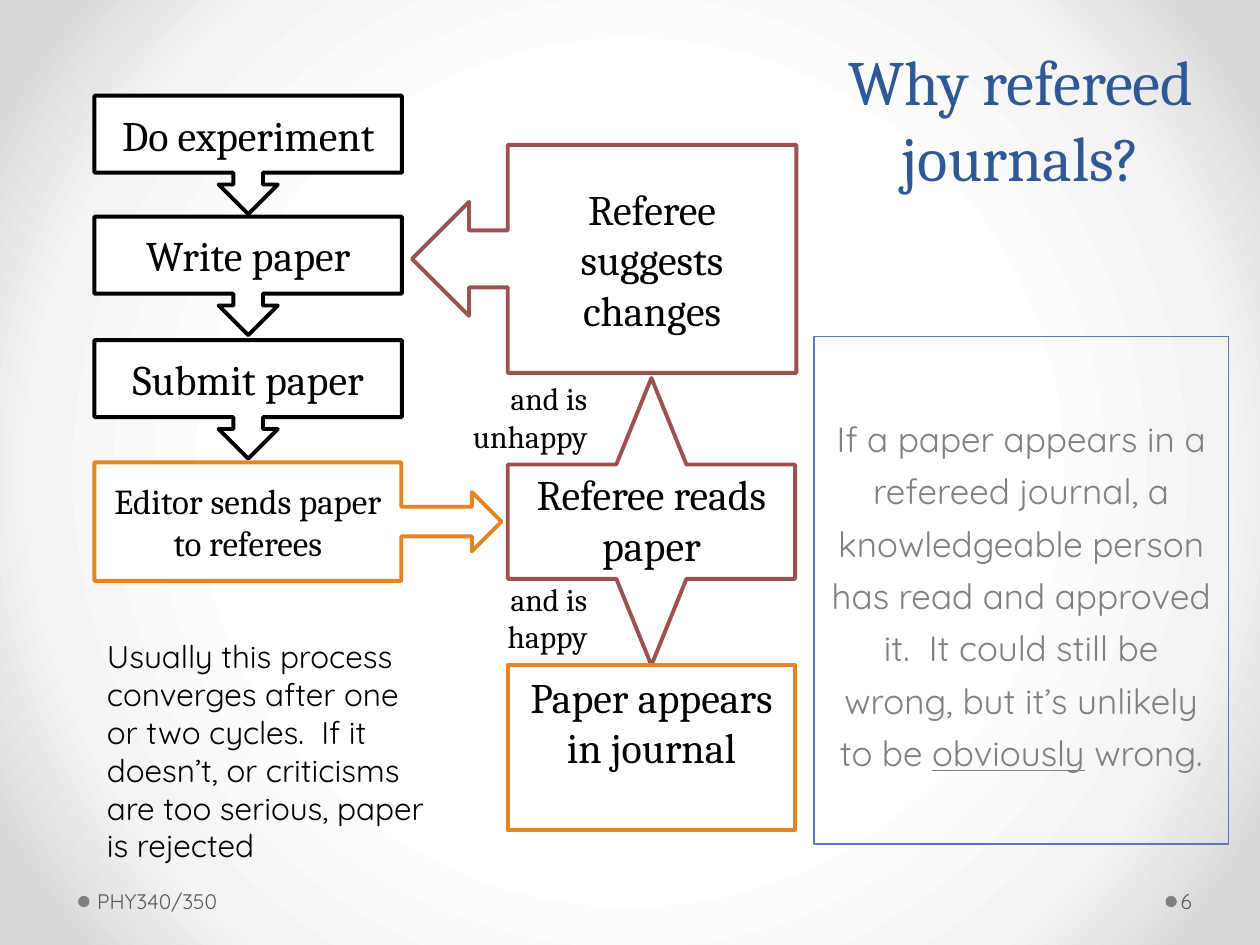
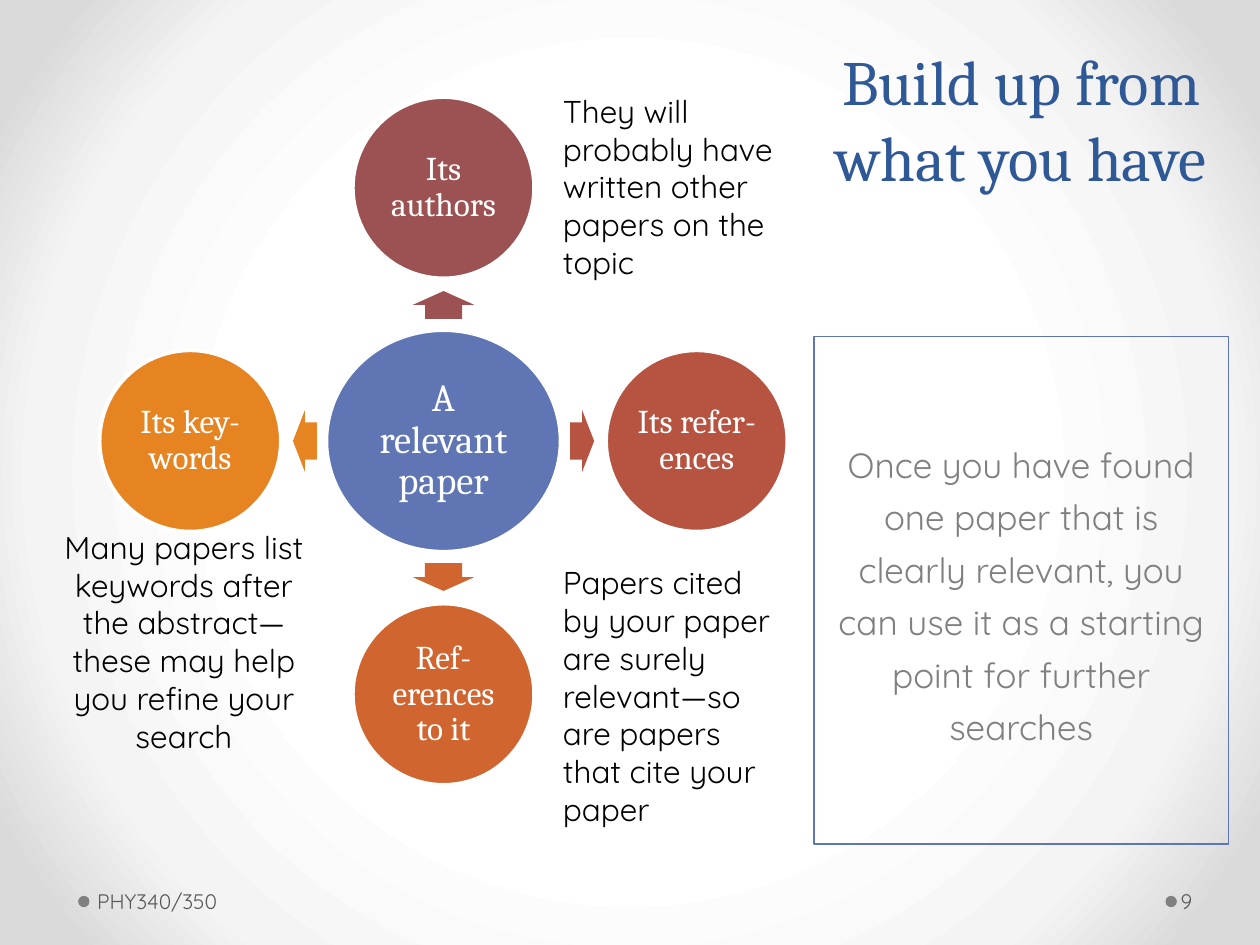
from dataclasses import dataclass
from typing import Optional

from lxml.etree import SubElement
from pptx import Presentation
from pptx.dml.color import RGBColor
from pptx.enum.shapes import MSO_SHAPE as Geo
from pptx.enum.text import MSO_ANCHOR as Anchor, PP_ALIGN as Align
from pptx.oxml.ns import qn
from pptx.util import Inches, Pt

COLORS = {
    "white": "FFFFFF", "black": "000000", "title": "2F5897", "blue": "6076B4",
    "wine": "9C5252", "red": "B65441", "rust": "D0652F", "orange": "E68422",
    "gray": "808080", "footer": "595959", "pale": "F4F4F4", "edge": "DADADA",
}
SERIF, SANS = "Cambria", "Quicksand"
BACKDROP = [(50, "white"), (76, "pale"), (92, "edge")]
FOOTER = "PHY340/350"
INSETS = (0.1, 0.05, 0.1, 0.05)


@dataclass(frozen=True)
class Style:
    """How a block of text looks."""
    size: float
    font: str = SERIF
    color: str = "black"
    align: Align = Align.CENTER
    anchor: Anchor = Anchor.TOP
    insets: tuple = INSETS
    line_spacing: Optional[float] = None
    space_before: Optional[float] = None


@dataclass(frozen=True)
class Step:
    """One outlined box of the refereeing flow."""
    text: str
    box: tuple
    geometry: Geo
    line: str
    style: Style
    adjustments: tuple = ()
    rotation: float = 0


@dataclass(frozen=True)
class Spoke:
    """One circle around the hub, with the arrow that leads to it."""
    text: str
    color: str
    direction: tuple
    rotation: float
    arrow_distance: float
    arrow_length: float


@dataclass(frozen=True)
class Note:
    """A free-standing piece of text."""
    text: str
    box: tuple
    style: Style


TITLE = Style(36, color="title")
SUMMARY = Style(20, SANS, "gray", anchor=Anchor.MIDDLE, line_spacing=1.25, space_before=4)
FOOTER_LEFT = Style(12, SANS, "footer", Align.LEFT, Anchor.MIDDLE, (0.05, 0.05, 0.1, 0.05))
FOOTER_RIGHT = Style(12, SANS, "footer", Align.LEFT, Anchor.MIDDLE, (0.03, 0.05, 0.05, 0.05))
STEP = Style(24, anchor=Anchor.MIDDLE)
SMALL_STEP = Style(20, anchor=Anchor.MIDDLE)
TOP_STEP = Style(24)
CONDITION = Style(18, align=Align.RIGHT)
REMARK = Style(18, SANS, align=Align.LEFT)
CENTERED_REMARK = Style(18, SANS)
HUB = Style(22, color="white", anchor=Anchor.MIDDLE, insets=(0.03,) * 4, line_spacing=0.9)
SPOKE = Style(19, color="white", anchor=Anchor.MIDDLE, insets=(0.03,) * 4, line_spacing=0.9)


def rgb(name: str) -> RGBColor:
    """Look a colour up by name."""
    return RGBColor.from_string(COLORS[name])


def inches(box: tuple) -> list:
    """Turn left, top, width and height into lengths."""
    return [Inches(value) for value in box]


def centered(x: float, y: float, width: float, height: float) -> tuple:
    """Return the box of a given size around a centre."""
    return x - width / 2, y - height / 2, width, height


def write(shape, text: str, style: Style, underlined: str = "") -> None:
    """Fill a shape with one paragraph, underlining one word if asked."""
    frame = shape.text_frame
    frame.word_wrap = True
    frame.vertical_anchor = style.anchor
    (frame.margin_left, frame.margin_top,
     frame.margin_right, frame.margin_bottom) = inches(style.insets)
    paragraph = frame.paragraphs[0]
    before, word, after = text.partition(underlined) if underlined else (text, "", "")
    paragraph.text = before
    for piece in filter(None, (word, after)):
        paragraph.add_run().text = piece
    paragraph.alignment = style.align
    paragraph.line_spacing = style.line_spacing
    if style.space_before:
        paragraph.space_before = Pt(style.space_before)
    for run in paragraph.runs:
        run.font.size = Pt(style.size)
        run.font.name = style.font
        run.font.color.rgb = rgb(style.color)
        if underlined and run.text == underlined:
            run.font.underline = True


def add_text(slide, text: str, box: tuple, style: Style) -> None:
    """Add a text box."""
    write(slide.shapes.add_textbox(*inches(box)), text, style)


def add_figure(slide, geometry: Geo, box: tuple, fill: Optional[str] = None,
               line: Optional[str] = None, width: float = 2.25,
               adjustments: tuple = (), rotation: float = 0):
    """Add a preset shape with a flat fill and line."""
    figure = slide.shapes.add_shape(geometry, *inches(box))
    figure.shadow.inherit = False
    figure.rotation = rotation
    for index, value in enumerate(adjustments):
        figure.adjustments[index] = value
    if fill:
        figure.fill.solid()
        figure.fill.fore_color.rgb = rgb(fill)
    else:
        figure.fill.background()
    if line:
        figure.line.color.rgb = rgb(line)
        figure.line.width = Pt(width)
    else:
        figure.line.fill.background()
    return figure


def paint_backdrop(slide) -> None:
    """Give the slide a circular gradient, light in the middle."""
    slide.background.fill.gradient()
    gradient = next(slide.element.iter(qn("a:gradFill")))
    for child in list(gradient):
        gradient.remove(child)
    stops = SubElement(gradient, qn("a:gsLst"))
    for position, name in BACKDROP:
        stop = SubElement(stops, qn("a:gs"), pos=str(position * 1000))
        SubElement(stop, qn("a:srgbClr"), val=COLORS[name])
    circle = SubElement(gradient, qn("a:path"), path="circle")
    SubElement(circle, qn("a:fillToRect"), {side: "50000" for side in "ltrb"})


def start_slide(deck, title: str, summary: str, number: int, underlined: str = ""):
    """Add a slide with backdrop, title, summary panel and footer."""
    slide = deck.slides.add_slide(deck.slide_layouts[6])
    paint_backdrop(slide)
    for left in (0.62, 9.25):
        add_figure(slide, Geo.OVAL, (left, 7.11, 0.09, 0.09), "gray")
    add_text(slide, title, (6.46, 0.29, 3.29, 2.29), TITLE)
    panel = add_figure(slide, Geo.RECTANGLE, (6.46, 2.67, 3.29, 4.03), line="blue", width=0.75)
    write(panel, summary, SUMMARY, underlined)
    add_text(slide, FOOTER, (0.72, 6.95, 3.11, 0.4), FOOTER_LEFT)
    add_text(slide, str(number), (9.34, 6.95, 0.61, 0.4), FOOTER_RIGHT)
    return slide


def add_step(slide, step: Step) -> None:
    """Draw one box of the flow."""
    figure = add_figure(slide, step.geometry, step.box, "white", step.line,
                        adjustments=step.adjustments, rotation=step.rotation)
    if step.text:
        write(figure, step.text, step.style)


def add_disc(slide, text: str, box: tuple, fill: str, style: Style) -> None:
    """Draw a white-edged ellipse with its label."""
    add_figure(slide, Geo.OVAL, box, fill, "white")
    left, top, width, height = box
    label = centered(left + width / 2, top + height / 2, width * 0.71, height * 0.71)
    add_text(slide, text, label, style)


def add_spoke(slide, spoke: Spoke, hub: tuple) -> None:
    """Draw an arrow out of the hub and the disc it points to."""
    def along(distance: float) -> tuple:
        """Return the point at a distance from the hub."""
        return tuple(c + d * distance for c, d in zip(hub, spoke.direction))

    add_figure(slide, Geo.RIGHT_ARROW,
               centered(*along(spoke.arrow_distance), spoke.arrow_length, 0.49),
               spoke.color, adjustments=(0.6, 0.5), rotation=spoke.rotation)
    add_disc(slide, spoke.text, centered(*along(2.01), 1.44, 1.44), spoke.color, SPOKE)


def add_notes(slide, notes: list) -> None:
    """Place the free-standing texts."""
    for note in notes:
        add_text(slide, note.text, note.box, note.style)


def build_refereeing(deck) -> None:
    """Build the slide on the refereeing process."""
    slide = start_slide(
        deck, "Why refereed journals?",
        "If a paper appears in a refereed journal, a knowledgeable person has read and "
        "approved it.  It could still be wrong, but it’s unlikely to be obviously wrong.",
        6, underlined="obviously")
    author_steps = [("Do experiment", 0.76), ("Write paper", 1.72), ("Submit paper", 2.7)]
    steps = [Step(text, (0.75, top, 2.44, 0.94), Geo.DOWN_ARROW_CALLOUT, "black", STEP)
             for text, top in author_steps]
    steps += [
        Step("Editor sends paper to referees", (0.75, 3.67, 3.23, 0.94),
             Geo.RIGHT_ARROW_CALLOUT, "orange", SMALL_STEP, (0.25, 0.25, 0.25, 0.754)),
        Step("", (4.03, 3, 2.28, 2.28), Geo.LEFT_RIGHT_ARROW_CALLOUT, "wine", STEP,
             (0.244, 0.122, 0.301, 0.5), 270),
        Step("Paper appears in journal", (4.03, 5.28, 2.28, 1.31),
             Geo.RECTANGLE, "orange", TOP_STEP),
        Step("Referee suggests changes", (3.27, 1.15, 3.05, 1.81),
             Geo.LEFT_ARROW_CALLOUT, "wine", STEP, (0.25, 0.25, 0.25, 0.751)),
    ]
    for step in steps:
        add_step(slide, step)
    add_notes(slide, [
        Note("Referee reads paper", (4.03, 3.67, 2.28, 0.91), TOP_STEP),
        Note("and is happy", (3.66, 4.55, 1.1, 0.71), CONDITION),
        Note("and is unhappy", (3.5, 2.96, 1.26, 0.71), CONDITION),
        Note("Usually this process converges after one or two cycles.  If it doesn’t, "
             "or criticisms are too serious, paper is rejected",
             (0.75, 5.01, 2.76, 1.92), REMARK),
    ])


def build_search(deck) -> None:
    """Build the slide on searching outwards from one paper."""
    slide = start_slide(
        deck, "Build up from what you have",
        "Once you have found one paper that is clearly relevant, you can use it as a "
        "starting point for further searches", 9)
    hub = (3.52, 3.5)
    add_disc(slide, "A relevant paper", centered(*hub, 1.86, 1.76), "blue", HUB)
    for spoke in [
        Spoke("Its authors", "wine", (0, -1), 270, 1.08, 0.22),
        Spoke("Its refer-ences", "red", (1, 0), 0, 1.1, 0.19),
        Spoke("Ref-erences to it", "rust", (0, 1), 90, 1.08, 0.22),
        Spoke("Its key-words", "orange", (-1, 0), 180, 1.1, 0.19),
    ]:
        add_spoke(slide, spoke, hub)
    add_notes(slide, [
        Note("They will probably have written other papers on the topic",
             (4.37, 0.68, 1.97, 1.62), REMARK),
        Note("Papers cited by your paper are surely relevant—so are papers that cite "
             "your paper", (4.37, 4.42, 1.97, 2.22), REMARK),
        Note("Many papers list keywords after the abstract—these may help you refine "
             "your search", (0.28, 4.14, 2.36, 1.92), CENTERED_REMARK),
    ])


def main() -> None:
    """Build and save the deck."""
    deck = Presentation()
    deck.slide_width, deck.slide_height = Inches(10), Inches(7.5)
    build_refereeing(deck)
    build_search(deck)
    deck.save("out.pptx")


main()
